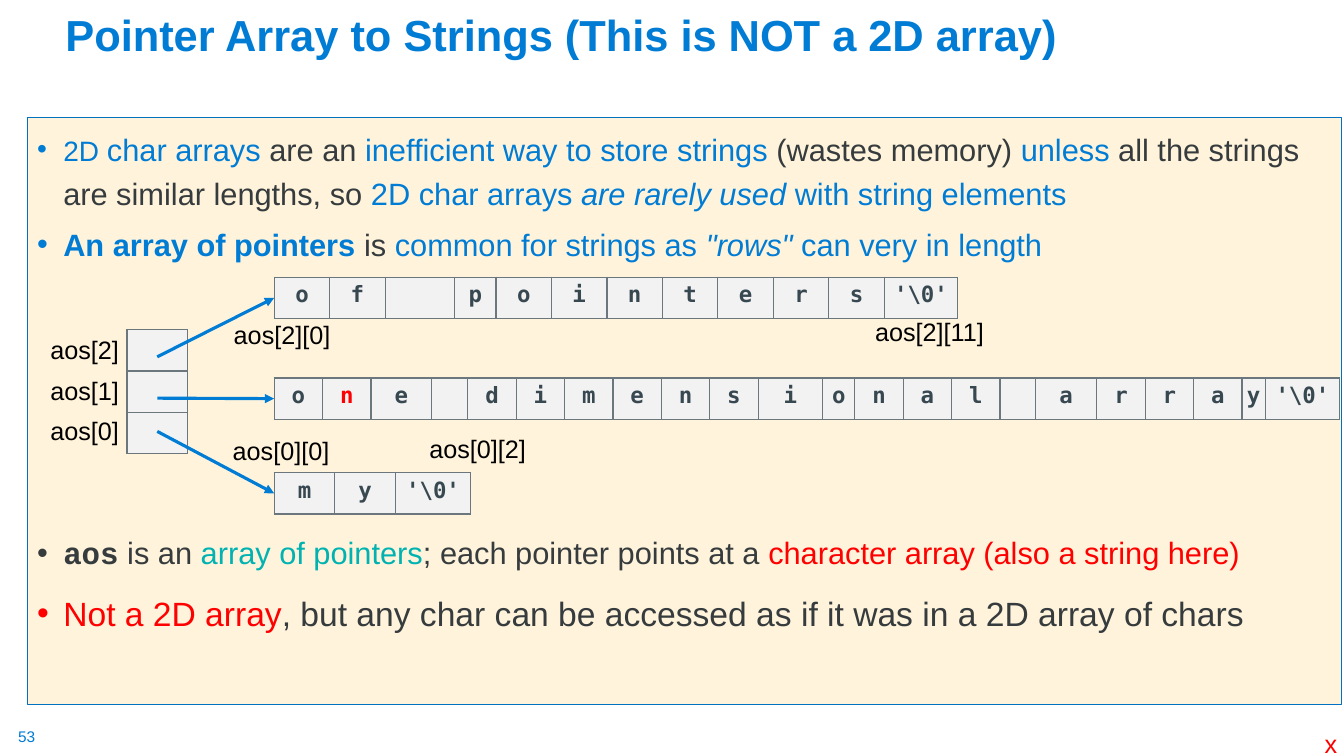
from dataclasses import dataclass, field

from lxml.etree import SubElement
from pptx import Presentation
from pptx.dml.color import RGBColor
from pptx.enum.shapes import MSO_CONNECTOR, MSO_SHAPE
from pptx.enum.text import MSO_ANCHOR, PP_ALIGN
from pptx.oxml import parse_xml
from pptx.oxml.ns import nsdecls, qn
from pptx.util import Inches, Pt

COLORS = {
    "blue": "007CD5", "edge": "0070C0", "cream": "FFF4DB", "dark": "363B3E",
    "teal": "00B2B1", "red": "FF0000", "black": "000000",
    "cell": "F2F2F2", "grid": "6B767D", "char": "384851",
}
MONO = "DejaVu Sans Mono"
ROW_H = 0.41
STRING_X = 2.72
POINTER_X, POINTER_Y, POINTER_W = 1.26, 3.27, 0.6
INDENT = 0.26


@dataclass
class StringRow:
    """One string in memory, with the arrow that leads to it."""
    text: str
    top: float
    unit: float
    odd_widths: dict[int, float]
    arrow_y: float
    red_cells: set[int] = field(default_factory=set)


@dataclass
class Label:
    text: str
    left: float
    top: float
    width: float
    height: float = 0.4
    size: float = 18
    color: str = "black"
    inset: float | None = None


@dataclass
class Run:
    text: str
    color: str = "blue"
    size: float = 22
    bold: bool = False
    italic: bool = False
    font: str = "Arial"


@dataclass
class Bullet:
    runs: list[Run]
    before: float = 10
    spacing: float = 1.0


STRINGS = [
    StringRow("my", 4.69, 0.6, {2: 0.75}, 4.28),
    StringRow("one dimensional array", 3.75, 0.48,
              {2: 0.6, 3: 0.36, 10: 0.64, 11: 0.32, 15: 0.35, 16: 0.61,
               20: 0.23, 21: 0.74}, 3.95, {1}),
    StringRow("of pointers", 2.75, 0.55, {2: 0.69, 3: 0.41, 11: 0.73}, 3.54),
]

LABELS = [
    Label("53", 0.18, 7.21, 0.19, 0.19, 11, "blue", 0),
    Label("x", 13.04, 7.18, 0.33, color="red"),
    *(Label(f"aos[{2 - i}]", 0.4, POINTER_Y + 0.4 * i, 0.89) for i in range(3)),
    Label("aos[0][0]", 2.21, 4.27, 1.17),
    Label("aos[0][2]", 4.16, 4.25, 1.17),
    Label("aos[2][0]", 2.22, 3.12, 1.17),
    Label("aos[2][11]", 8.58, 3.09, 1.29),
]

BULLETS = [
    Bullet([
        Run("2D ", size=20), Run("char arrays "), Run("are an ", "dark"),
        Run("inefficient way to store strings "),
        Run("(wastes memory) ", "dark"), Run("unless"),
        Run(" all the strings are similar lengths, so ", "dark"),
        Run("2D char arrays "), Run("are rarely used ", italic=True),
        Run("with string elements"),
    ], spacing=1.2),
    Bullet([
        Run("An array of pointers ", bold=True), Run("is ", "dark"),
        Run("common for strings as "), Run('"rows" ', italic=True),
        Run("can very in length"),
    ]),
    # The wide gap leaves room for the memory diagram.
    Bullet([
        Run("aos", "dark", bold=True, font="Courier New"),
        Run(" is an ", "dark"), Run("array of pointers", "teal"),
        Run("; each pointer points at a", "dark"),
        Run(" character array (also a string here)", "red"),
    ], before=194),
    Bullet([
        Run("Not a 2D array", "red", 24),
        Run(", but any char can be accessed as if it was in a 2D array of chars",
            "dark", 24),
    ], spacing=1.2),
]


def rgb(name: str) -> RGBColor:
    return RGBColor.from_string(COLORS[name])


def add_run(p, text: str, *, size: float, color: str, bold: bool = False,
            italic: bool = False, font: str = "Arial") -> None:
    r = p.add_run()
    r.text = text
    r.font.name, r.font.size = font, Pt(size)
    r.font.bold, r.font.italic = bold, italic
    r.font.color.rgb = rgb(color)


def add_title(s) -> None:
    tf = s.shapes.add_textbox(Inches(0.55), Inches(0.14),
                              Inches(12.24), Inches(0.51)).text_frame
    tf.word_wrap, tf.vertical_anchor = True, MSO_ANCHOR.BOTTOM
    p = tf.paragraphs[0]
    p.line_spacing = 0.9
    add_run(p, "Pointer Array to Strings (This is NOT a 2D array)",
            size=31, color="blue", bold=True)


def add_body(s, bullets: list[Bullet]) -> None:
    sp = s.shapes.add_shape(MSO_SHAPE.RECTANGLE, Inches(0.27), Inches(1.17),
                            Inches(13.04), Inches(5.82))
    sp.shadow.inherit = False
    sp.fill.solid()
    sp.fill.fore_color.rgb = rgb("cream")
    sp.line.color.rgb, sp.line.width = rgb("edge"), Pt(0.75)
    tf = sp.text_frame
    tf.word_wrap, tf.vertical_anchor = True, MSO_ANCHOR.TOP
    for i, bullet in enumerate(bullets):
        p = tf.add_paragraph() if i else tf.paragraphs[0]
        p.alignment = PP_ALIGN.LEFT
        p.space_before, p.line_spacing = Pt(bullet.before), bullet.spacing
        pPr = p._p.get_or_add_pPr()
        pPr.set("marL", str(Inches(INDENT)))
        pPr.set("indent", str(-Inches(INDENT)))
        SubElement(pPr, qn("a:buFont"), typeface="Arial")
        SubElement(pPr, qn("a:buChar"), char="•")
        for run in bullet.runs:
            add_run(p, run.text, size=run.size, color=run.color,
                    bold=run.bold, italic=run.italic, font=run.font)


def add_label(s, label: Label) -> None:
    tf = s.shapes.add_textbox(Inches(label.left), Inches(label.top),
                              Inches(label.width), Inches(label.height)).text_frame
    tf.word_wrap = False
    if label.inset is not None:
        tf.margin_left = tf.margin_right = Inches(label.inset)
        tf.margin_top = tf.margin_bottom = Inches(label.inset)
    add_run(tf.paragraphs[0], label.text, size=label.size, color=label.color)


def style_cell(cell) -> None:
    """Fill the cell and rule all four of its sides."""
    cell.fill.solid()
    cell.fill.fore_color.rgb = rgb("cell")
    cell.margin_left = cell.margin_right = 0
    tcPr = cell._tc.get_or_add_tcPr()
    for i, side in enumerate("LRTB"):
        tcPr.insert(i, parse_xml(
            f'<a:ln{side} {nsdecls("a")} w="{Pt(1)}"><a:solidFill>'
            f'<a:srgbClr val="{COLORS["grid"]}"/></a:solidFill></a:ln{side}>'))


def add_cells(s, left: float, top: float, widths: list[float], rows: int = 1):
    """Add a plain ruled table and return it."""
    table = s.shapes.add_table(rows, len(widths), Inches(left), Inches(top),
                               Inches(sum(widths)), Inches(ROW_H * rows)).table
    table.first_row = table.horz_banding = False
    for column, width in zip(table.columns, widths):
        column.width = Inches(width)
    for cell in table.iter_cells():
        style_cell(cell)
    return table


def add_string(s, row: StringRow) -> None:
    chars = [*row.text, r"'\0'"]
    widths = [row.odd_widths.get(i, row.unit) for i in range(len(chars))]
    table = add_cells(s, STRING_X, row.top, widths)
    for i, char in enumerate(chars):
        if char != " ":
            p = table.cell(0, i).text_frame.paragraphs[0]
            p.alignment = PP_ALIGN.CENTER
            add_run(p, char, size=16, bold=True, font=MONO,
                    color="red" if i in row.red_cells else "char")


def add_arrow(s, row: StringRow) -> None:
    line = s.shapes.add_connector(
        MSO_CONNECTOR.STRAIGHT, Inches(POINTER_X + POINTER_W / 2), Inches(row.arrow_y),
        Inches(STRING_X), Inches(row.top + ROW_H / 2))
    line.line.color.rgb, line.line.width = rgb("blue"), Pt(2.25)
    SubElement(line.line._get_or_add_ln(), qn("a:tailEnd"), type="triangle")
    SubElement(line._element.spPr, qn("a:effectLst"))


def main() -> None:
    prs = Presentation()
    prs.slide_width, prs.slide_height = Inches(13.33), Inches(7.5)
    s = prs.slides.add_slide(prs.slide_layouts[6])
    add_body(s, BULLETS)
    add_title(s)
    for row in STRINGS:
        add_string(s, row)
    add_cells(s, POINTER_X, POINTER_Y, [POINTER_W], rows=len(STRINGS))
    for row in STRINGS:
        add_arrow(s, row)
    for label in LABELS:
        add_label(s, label)
    prs.save("out.pptx")


if __name__ == "__main__":
    main()
